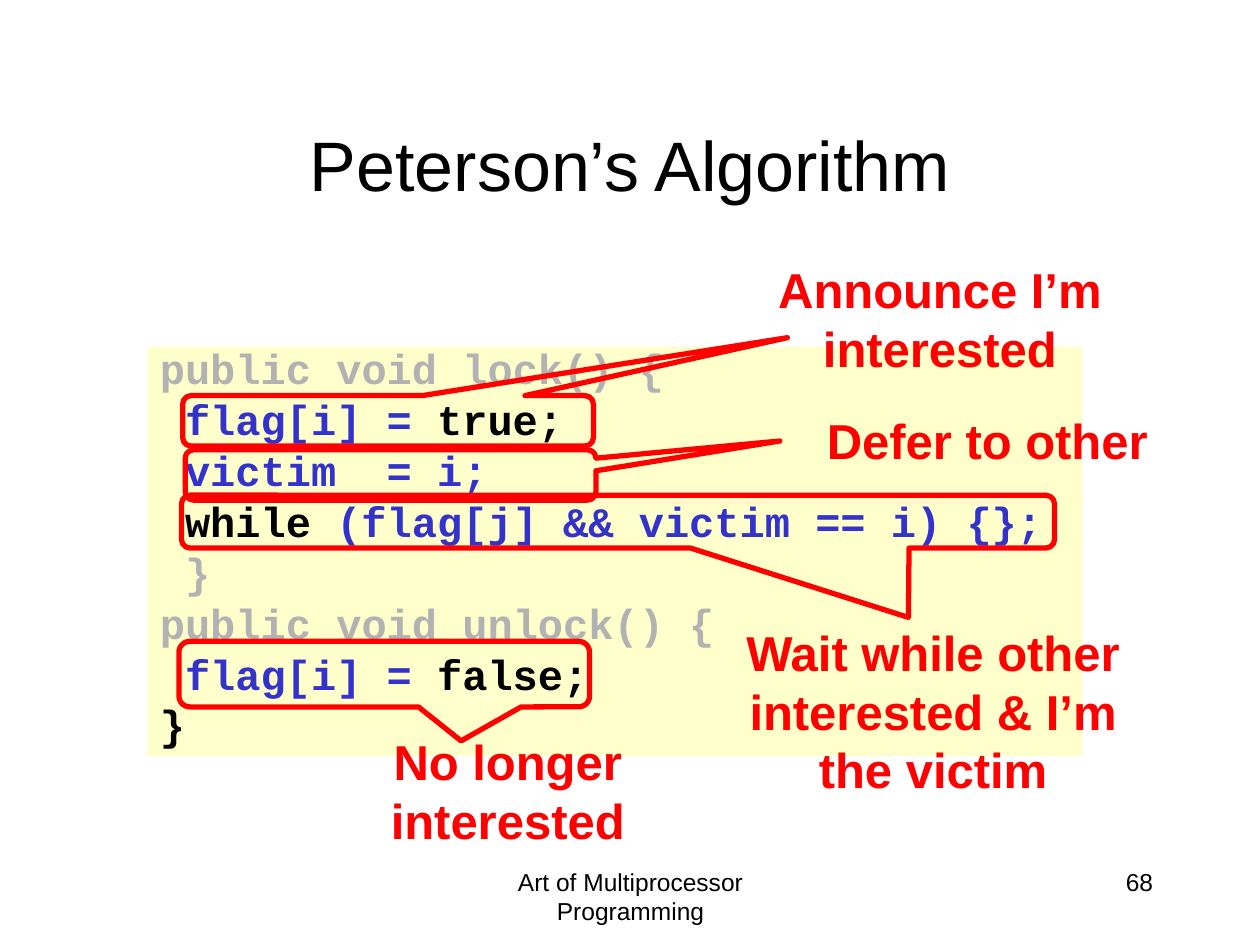
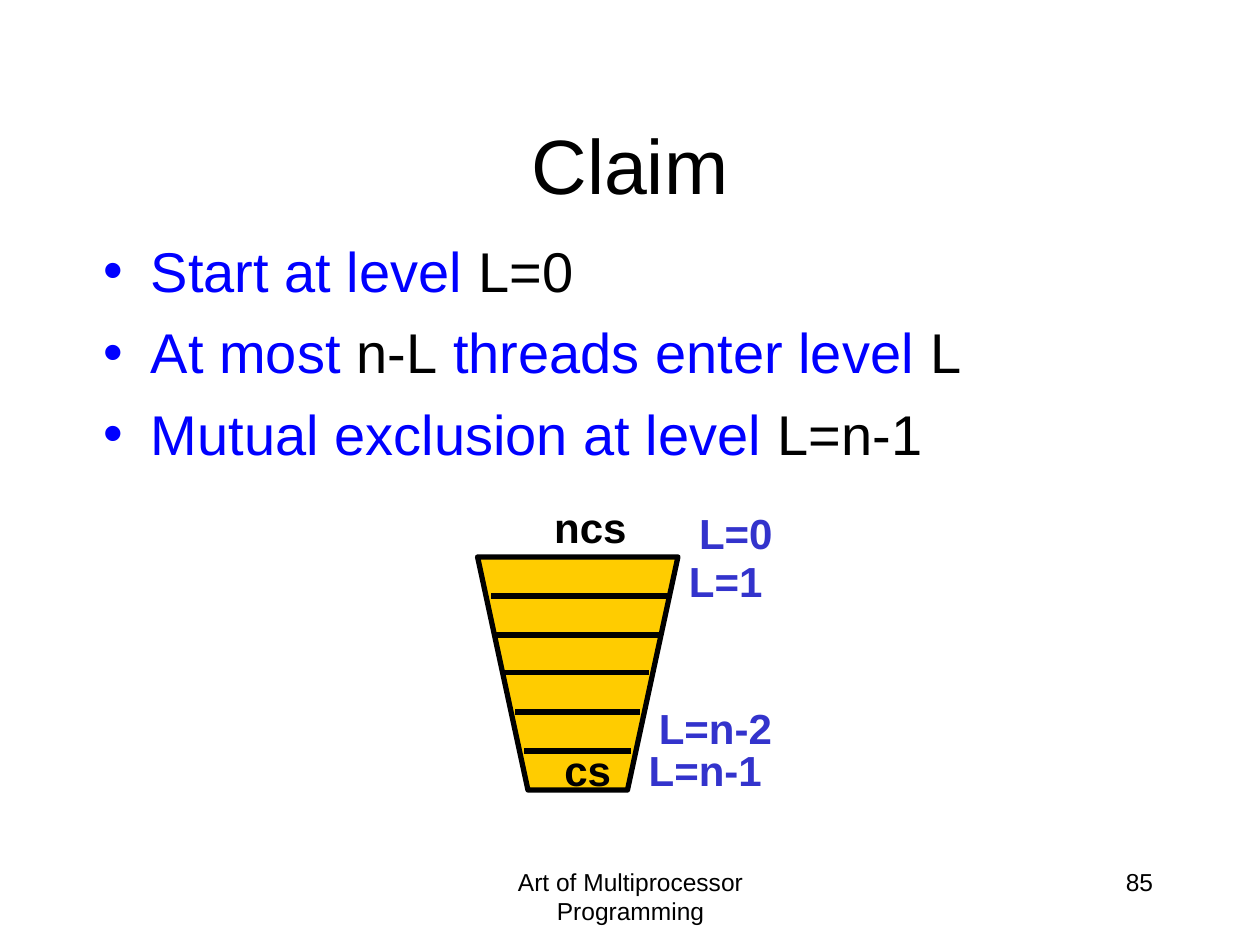
from dataclasses import dataclass

from lxml import etree
from pptx import Presentation
from pptx.dml.color import RGBColor
from pptx.enum.shapes import MSO_CONNECTOR, MSO_SHAPE
from pptx.enum.text import MSO_ANCHOR, MSO_AUTO_SIZE, PP_ALIGN
from pptx.oxml.ns import qn
from pptx.util import Emu, Pt

PX = 9144
LEFT, CENTER, RIGHT = PP_ALIGN.LEFT, PP_ALIGN.CENTER, PP_ALIGN.RIGHT
TOP, MIDDLE = MSO_ANCHOR.TOP, MSO_ANCHOR.MIDDLE
RECTANGLE = MSO_SHAPE.RECTANGLE
CALLOUT = MSO_SHAPE.ROUNDED_RECTANGULAR_CALLOUT
STRAIGHT = MSO_CONNECTOR.STRAIGHT
FIT_SHAPE = MSO_AUTO_SIZE.SHAPE_TO_FIT_TEXT

BLACK, RED, GRAY = "000000", "FF0000", "B2B2B2"
INDIGO, BLUE = "3333CC", "0000FF"
CREAM, GOLD = "FFFFCC", "FFCC00"
SANS, MONO = "Arial", "Courier New"
OUTLINE = Pt(3)
PARAGRAPH_GAP = 0.25


@dataclass(frozen=True)
class Box:
    left: int
    top: int
    width: int
    height: int

    def emu(self):
        return [px(n) for n in (self.left, self.top, self.width, self.height)]


@dataclass(frozen=True)
class Style:
    size: int
    color: str = BLACK
    bold: bool = False
    font: str = SANS
    align: PP_ALIGN = LEFT


@dataclass(frozen=True)
class Label:
    text: str
    box: Box
    style: Style
    wrap: bool = True
    grow: bool = False
    anchor: MSO_ANCHOR = TOP


@dataclass(frozen=True)
class Callout:
    box: Box
    tip_x: int
    tip_y: int


TITLE_BOX = Box(75, 67, 850, 125)
FOOTER_BOX = Box(342, 683, 317, 50)
NUMBER_BOX = Box(717, 683, 208, 50)
FOOTER_TEXT = "Art of Multiprocessor Programming"

CODE_BOX = Box(117, 275, 742, 325)
CODE_STYLE = Style(24, bold=True, font=MONO)
CODE_LINES = [
    [("public void lock() {", GRAY)],
    [(" flag[i] =", INDIGO), (" true;", BLACK)],
    [(" victim  = i;", INDIGO)],
    [(" while ", BLACK), ("(flag[j] && victim == i) {};", INDIGO)],
    [(" }", GRAY)],
    [("public void unlock() {", GRAY)],
    [(" flag[i] =", INDIGO), (" false;", BLACK)],
    [("}", BLACK)],
]
REMARK = Style(28, RED, True, align=CENTER)
REMARKS = [
    Label("No longer interested", Box(255, 576, 296, 104), REMARK, grow=True),
    Label("Announce I’m interested", Box(598, 201, 296, 104), REMARK, grow=True),
    Label("Defer to other", Box(614, 321, 339, 57), REMARK, grow=True),
    Label("Wait while other interested & I’m the victim",
          Box(553, 489, 375, 150), REMARK, grow=True),
]
CALLOUTS = [
    Callout(Box(145, 314, 326, 40), 625, 268),
    Callout(Box(147, 357, 326, 40), 619, 350),
    Callout(Box(142, 509, 326, 52), 366, 588),
    Callout(Box(144, 393, 693, 42), 721, 490),
]

CLAIM_BOX = Box(72, 183, 850, 450)
CLAIM_STYLE = Style(32)
CLAIMS = [
    [("Start at level ", BLUE), ("L=0", BLACK)],
    [("At most ", BLUE), ("n-L", BLACK), (" threads enter level ", BLUE), ("L", BLACK)],
    [("Mutual exclusion at level ", BLUE), ("L=n-1", BLACK)],
]
FUNNEL_TOP, FUNNEL_BOTTOM = 442, 627
FUNNEL = [(379, FUNNEL_TOP), (419, FUNNEL_BOTTOM), (498, FUNNEL_BOTTOM), (538, FUNNEL_TOP)]
LEVEL_SPANS = [(390, 530), (394, 523), (401, 515), (409, 508), (416, 501)]
SECTION = Style(24, BLACK, True)
LEVEL = Style(24, INDIGO, True)
FUNNEL_LABELS = [
    Label(text, Box(left, top, width, 50), style, wrap=False, grow=True)
    for text, left, top, width, style in [
        ("ncs", 430, 393, 82, SECTION),
        ("cs", 438, 586, 62, SECTION),
        ("L=n-1", 505, 586, 115, LEVEL),
        ("L=1", 537, 436, 83, LEVEL),
        ("L=n-2", 513, 553, 115, LEVEL),
        ("L=0", 545, 398, 83, LEVEL),
    ]
]


def px(length: int) -> Emu:
    return Emu(length * PX)


def rgb(color: str) -> RGBColor:
    return RGBColor.from_string(color)


def format_run(run, style: Style, color: str) -> None:
    run.font.name = style.font
    run.font.size = Pt(style.size)
    run.font.bold = style.bold
    run.font.color.rgb = rgb(color)


def add_label(slide, label: Label) -> None:
    frame = slide.shapes.add_textbox(*label.box.emu()).text_frame
    frame.text = label.text
    frame.word_wrap = label.wrap
    frame.vertical_anchor = label.anchor
    if label.grow:
        frame.auto_size = FIT_SHAPE
    paragraph = frame.paragraphs[0]
    paragraph.alignment = label.style.align
    format_run(paragraph.runs[0], label.style, label.style.color)


def add_bullet(properties, style: Style, color: str) -> None:
    bullet_color = etree.SubElement(properties, qn("a:buClr"))
    etree.SubElement(bullet_color, qn("a:srgbClr")).set("val", color)
    etree.SubElement(properties, qn("a:buFont")).set("typeface", style.font)
    etree.SubElement(properties, qn("a:buChar")).set("char", "•")


def write_lines(frame, lines, style: Style, indent: int, spacing: float, bullet: str = "") -> None:
    frame.word_wrap = True
    frame.vertical_anchor = TOP
    for index, parts in enumerate(lines):
        paragraph = frame.add_paragraph() if index else frame.paragraphs[0]
        paragraph.alignment = style.align
        paragraph.line_spacing = spacing
        paragraph.space_before = Pt(style.size * PARAGRAPH_GAP) if index else Pt(0)
        properties = paragraph._p.get_or_add_pPr()
        properties.set("marL", str(px(indent)))
        properties.set("indent", str(px(-indent)))
        if bullet:
            add_bullet(properties, style, bullet)
        paragraph.font.size = Pt(style.size)
        for text, color in parts:
            run = paragraph.add_run()
            run.text = text
            format_run(run, style, color)


def add_callout(slide, callout: Callout) -> None:
    box = callout.box
    shape = slide.shapes.add_shape(CALLOUT, *box.emu())
    shape.shadow.inherit = False
    shape.fill.background()
    shape.line.color.rgb = rgb(RED)
    shape.line.width = OUTLINE
    shape.adjustments[0] = (callout.tip_x - box.left) / box.width - 0.5
    shape.adjustments[1] = (callout.tip_y - box.top) / box.height - 0.5


def add_level_line(slide, left: int, right: int, y: int) -> None:
    line = slide.shapes.add_connector(STRAIGHT, px(left), px(y), px(right), px(y))
    line.line.color.rgb = rgb(BLACK)
    line.line.width = OUTLINE
    etree.SubElement(line._element.spPr, qn("a:effectLst"))


def add_funnel(slide) -> None:
    builder = slide.shapes.build_freeform(*FUNNEL[0], scale=PX)
    builder.add_line_segments(FUNNEL[1:], close=True)
    funnel = builder.convert_to_shape()
    funnel.shadow.inherit = False
    funnel.fill.solid()
    funnel.fill.fore_color.rgb = rgb(GOLD)
    funnel.line.color.rgb = rgb(BLACK)
    funnel.line.width = OUTLINE
    step = (FUNNEL_BOTTOM - FUNNEL_TOP) / (len(LEVEL_SPANS) + 1)
    for index, (left, right) in enumerate(LEVEL_SPANS, 1):
        add_level_line(slide, left, right, round(FUNNEL_TOP + index * step))


def add_slide(deck, title: str, title_size: int, number: int):
    slide = deck.slides.add_slide(deck.slide_layouts[6])
    add_label(slide, Label(FOOTER_TEXT, FOOTER_BOX, Style(14, align=CENTER)))
    add_label(slide, Label(str(number), NUMBER_BOX, Style(14, align=RIGHT)))
    add_label(slide, Label(title, TITLE_BOX, Style(title_size, align=CENTER), anchor=MIDDLE))
    return slide


def build_peterson(deck) -> None:
    slide = add_slide(deck, "Peterson’s Algorithm", 40, 68)
    code = slide.shapes.add_shape(RECTANGLE, *CODE_BOX.emu())
    code.shadow.inherit = False
    code.fill.solid()
    code.fill.fore_color.rgb = rgb(CREAM)
    code.line.fill.background()
    write_lines(code.text_frame, CODE_LINES, CODE_STYLE, 25, 0.8)
    for callout in CALLOUTS[:-1]:
        add_callout(slide, callout)
    for remark in REMARKS:
        add_label(slide, remark)
    add_callout(slide, CALLOUTS[-1])


def build_claim(deck) -> None:
    slide = add_slide(deck, "Claim", 44, 85)
    claims = slide.shapes.add_textbox(*CLAIM_BOX.emu()).text_frame
    write_lines(claims, CLAIMS, CLAIM_STYLE, 38, 1.0, BLUE)
    add_funnel(slide)
    for label in FUNNEL_LABELS:
        add_label(slide, label)


def main() -> None:
    deck = Presentation()
    deck.slide_width, deck.slide_height = px(1000), px(750)
    build_peterson(deck)
    build_claim(deck)
    deck.save("out.pptx")


if __name__ == "__main__":
    main()
